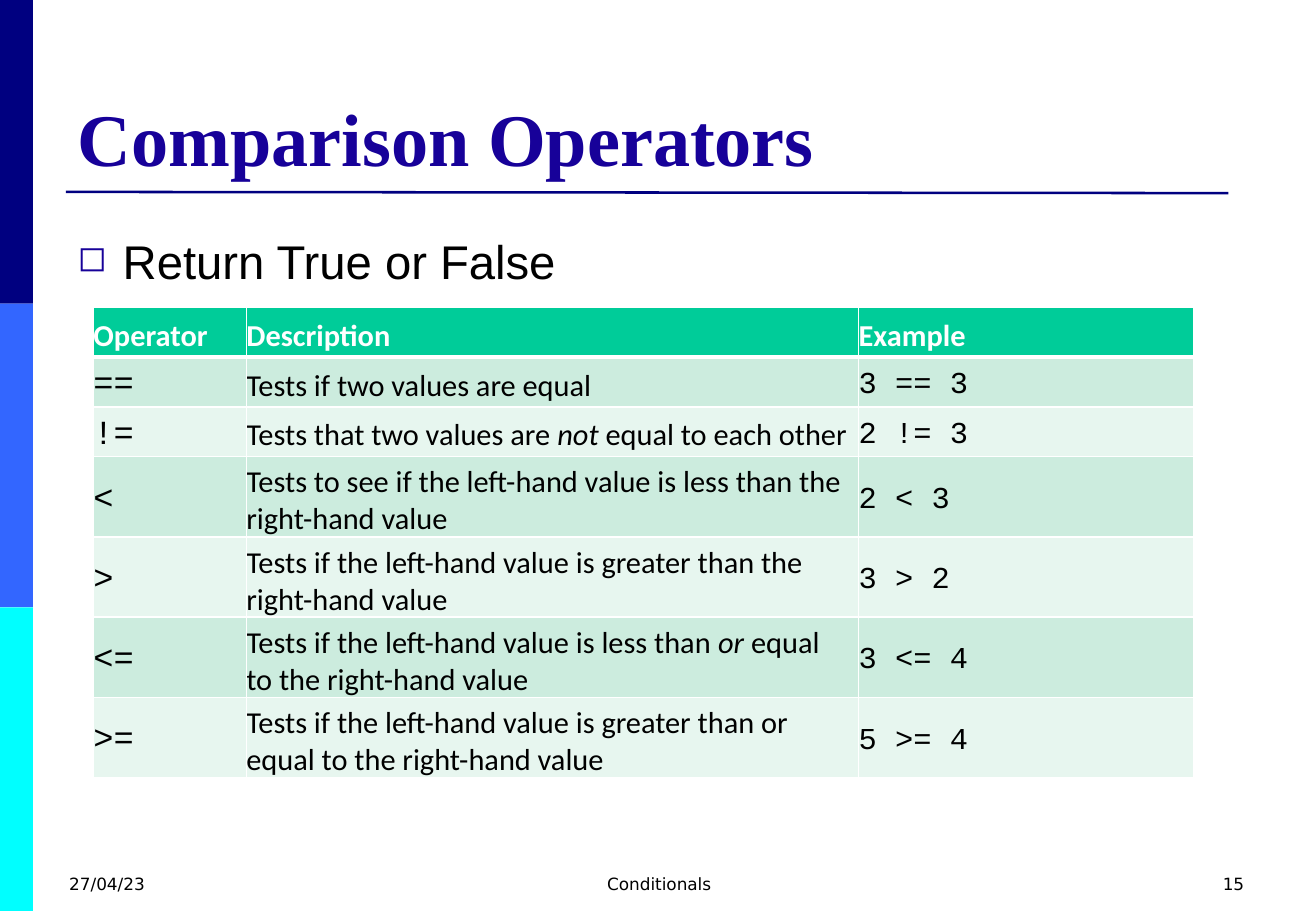
from dataclasses import dataclass

from lxml.etree import SubElement
from pptx import Presentation
from pptx.dml.color import RGBColor
from pptx.enum.shapes import MSO_CONNECTOR, MSO_SHAPE
from pptx.enum.text import MSO_ANCHOR, PP_ALIGN
from pptx.oxml.ns import qn
from pptx.util import Inches, Pt


@dataclass(frozen=True)
class Theme:
    navy: str = "000080"
    blue: str = "3366FF"
    cyan: str = "00FFFF"
    title: str = "170199"
    black: str = "000000"
    white: str = "FFFFFF"
    head: str = "00CC99"
    bands: tuple = ("CCECDE", "E7F6EF")
    serif: str = "Times New Roman"
    sans: str = "Arial"
    table: str = "Calibri"
    code: str = "Courier New"
    small: str = "DejaVu Sans"
    big: int = 44
    body: int = 28
    sign: int = 20
    cell: int = 18
    foot: int = 10


HEADS = ("Operator", "Description", "Example")
# Asterisks enclose words set in italics.
TESTS = (
    ("==", "Tests if two values are equal", "3 == 3"),
    ("!=", "Tests that two values are *not* equal to each other", "2 != 3"),
    ("<", "Tests to see if the left-hand value is less than the "
          "right-hand value", "2 < 3"),
    (">", "Tests if the left-hand value is greater than the "
          "right-hand value", "3 > 2"),
    ("<=", "Tests if the left-hand value is less than *or* equal "
           "to the right-hand value", "3 <= 4"),
    (">=", "Tests if the left-hand value is greater than or equal "
           "to the right-hand value", "5 >= 4"),
)


class Page:
    """One slide laid out on a grid of 40 columns and 30 rows."""

    def __init__(self, theme):
        self.theme = theme
        self.deck = Presentation()
        self.deck.slide_width = Inches(10.83)
        self.deck.slide_height = Inches(7.5)
        self.slide = self.deck.slides.add_slide(self.deck.slide_layouts[6])
        self.shapes = self.slide.shapes

    def col(self, count):
        return round(self.deck.slide_width * count / 40)

    def row(self, count):
        return round(self.deck.slide_height * count / 30)

    def box(self, left, top, width, height):
        return self.col(left), self.row(top), self.col(width), self.row(height)

    def style(self, para, face, size, color, bold=False):
        font = para.font
        font.name, font.size, font.bold = face, Pt(size), bold
        font.color.rgb = RGBColor.from_string(color)

    def bar(self, area, color):
        bar = self.shapes.add_shape(MSO_SHAPE.RECTANGLE, *self.box(*area))
        bar.shadow.inherit = False
        bar.fill.solid()
        bar.fill.fore_color.rgb = RGBColor.from_string(color)
        bar.line.fill.background()

    def rule(self, start, end, color, width):
        line = self.shapes.add_connector(
            MSO_CONNECTOR.STRAIGHT, self.col(start[0]), self.row(start[1]),
            self.col(end[0]), self.row(end[1]))
        line.line.color.rgb = RGBColor.from_string(color)
        line.line.width = Pt(width)
        SubElement(line._element.spPr, qn("a:effectLst"))

    def text(self, area, words, face, size, color, bold=False,
             align=PP_ALIGN.LEFT, anchor=MSO_ANCHOR.TOP, bullet=None):
        frame = self.shapes.add_textbox(*self.box(*area)).text_frame
        frame.word_wrap = True
        frame.vertical_anchor = anchor
        para = frame.paragraphs[0]
        para.text = words
        para.alignment = align
        if bullet:
            self.bullet(para, bullet)
        self.style(para, face, size, color, bold)

    def bullet(self, para, sign):
        para.line_spacing = 1.25
        props = para._p.get_or_add_pPr()
        props.set("marL", str(Inches(0.37)))
        props.set("indent", str(-Inches(0.37)))
        tint = SubElement(props, qn("a:buClr"))
        SubElement(tint, qn("a:srgbClr"), val=self.theme.title)
        SubElement(props, qn("a:buSzPct"), val="75000")
        SubElement(props, qn("a:buChar"), char=sign)

    def edges(self, cell, bottom):
        props = cell._tc.get_or_add_tcPr()
        for side, width in (("L", 1), ("R", 1), ("T", 1), ("B", bottom)):
            edge = SubElement(props, qn(f"a:ln{side}"), w=str(Pt(width)))
            fill = SubElement(edge, qn("a:solidFill"))
            SubElement(fill, qn("a:srgbClr"), val=self.theme.white)

    def cell(self, cell, words, fill, looks, bottom=1):
        cell.margin_left = cell.margin_bottom = 0
        cell.margin_top = cell.margin_right = Inches(0.06)
        cell.vertical_anchor = MSO_ANCHOR.MIDDLE
        self.edges(cell, bottom)
        cell.fill.solid()
        cell.fill.fore_color.rgb = RGBColor.from_string(fill)
        para = cell.text_frame.paragraphs[0]
        for spot, part in enumerate(words.split("*")):
            run = para.add_run()
            run.text = part
            if spot % 2:
                run.font.italic = True
        self.style(para, *looks)

    def table(self, area, widths, height, heads, tests):
        t = self.theme
        frame = self.shapes.add_table(
            len(tests) + 1, len(heads), *self.box(*area))
        table = frame.table
        table.horz_banding = False
        for column, width in zip(table.columns, widths):
            column.width = self.col(width)
        for line in table.rows:
            line.height = self.row(height)
        frame.height = self.row(area[3])
        for x, words in enumerate(heads):
            self.cell(table.cell(0, x), words, t.head,
                      (t.table, t.cell, t.white, True), bottom=3)
        looks = ((t.code, t.sign, t.black), (t.table, t.cell, t.black),
                 (t.code, t.cell, t.black))
        for y, test in enumerate(tests):
            for x, words in enumerate(test):
                self.cell(table.cell(y + 1, x), words, t.bands[y % 2],
                          looks[x])


def main():
    t = Theme()
    page = Page(t)
    for step, color in enumerate((t.navy, t.blue, t.cyan)):
        page.bar((0, step * 10, 1, 10), color)
    page.rule((2, 6.32), (37.34, 6.36), t.navy, 1.5)
    page.text((2, 1.2, 36, 4.96), "Comparison Operators", t.serif, t.big,
              t.title, bold=True, anchor=MSO_ANCHOR.BOTTOM)
    page.text((2, 7, 36, 19.8), "Return True or False", t.sans, t.body,
              t.black, bullet="◻")
    for left, width, words, align in (
            (1.74, 9.34, "27/04/23", PP_ALIGN.LEFT),
            (13.7, 12.67, "Conditionals", PP_ALIGN.CENTER),
            (28.84, 9.34, "15", PP_ALIGN.RIGHT)):
        page.text((left, 28.56, width, 1.44), words, t.small, t.foot,
                  t.black, align=align)
    page.table((2.84, 10.12, 33.45, 15.36), (4.65, 18.61, 10.19), 1.64,
               HEADS, TESTS)
    page.deck.save("out.pptx")


if __name__ == "__main__":
    main()
